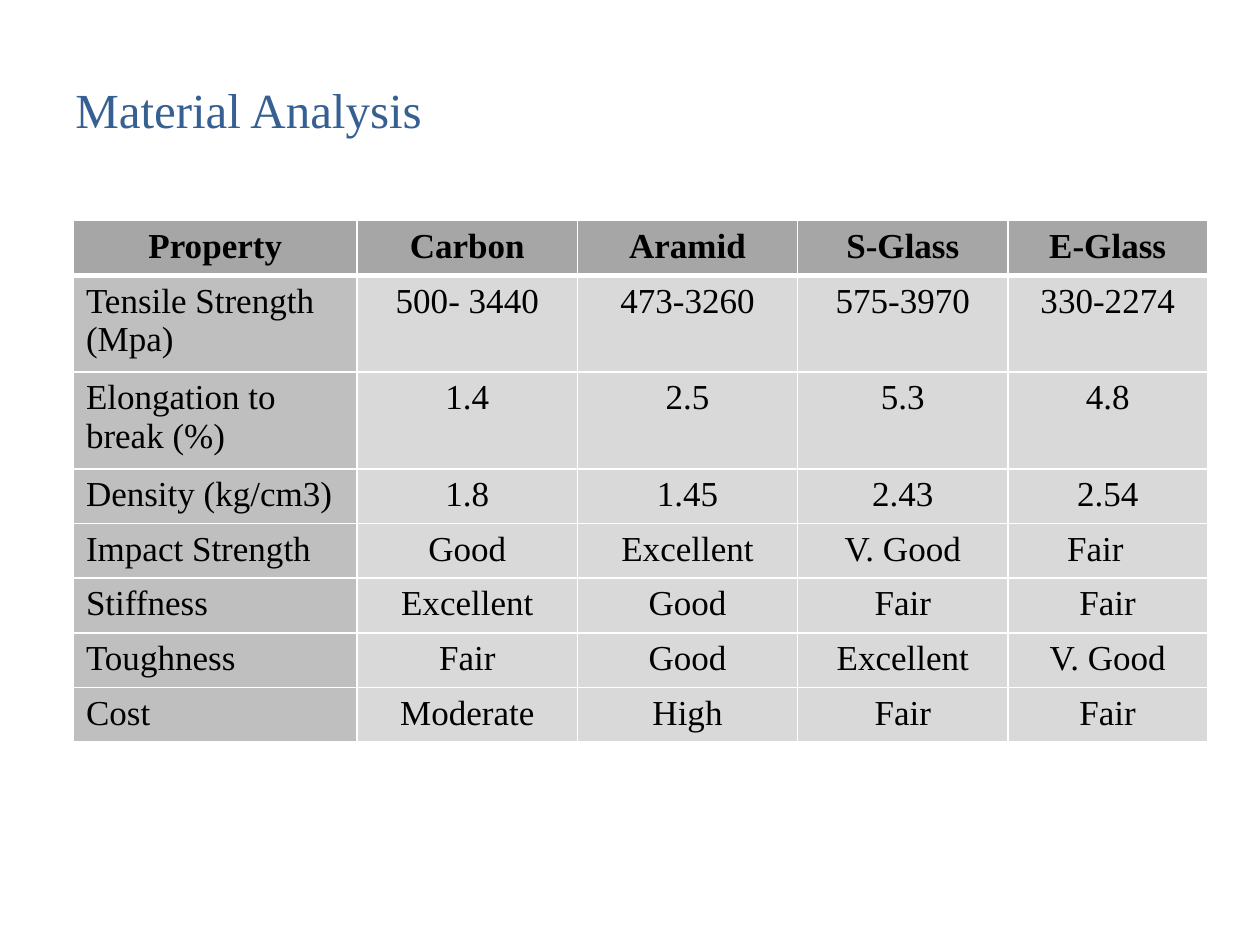
from lxml import etree
from pptx import Presentation
from pptx.dml.color import RGBColor
from pptx.enum.text import MSO_ANCHOR, PP_ALIGN
from pptx.oxml.ns import qn
from pptx.util import Cm, Pt

LEFT, CENTER = PP_ALIGN.LEFT, PP_ALIGN.CENTER
MIDDLE = MSO_ANCHOR.MIDDLE

FONT = "Times New Roman"
BLUE, BLACK, WHITE = "376092", "000000", "FFFFFF"
HEAD, SIDE, BODY = "A6A6A6", "BFBFBF", "D9D9D9"

WIDTHS = [5.72, 4.44, 4.44, 4.24, 4.02]
LOW, TALL = 1.04, 1.81
HEIGHTS = [LOW, TALL, TALL] + [LOW] * 5
ROWS = [
    ["Property", "Carbon", "Aramid", "S-Glass", "E-Glass"],
    ["Tensile Strength (Mpa)", "500- 3440", "473-3260", "575-3970", "330-2274"],
    ["Elongation to break (%)", "1.4", "2.5", "5.3", "4.8"],
    ["Density (kg/cm3)", "1.8", "1.45", "2.43", "2.54"],
    ["Impact Strength", "Good", "Excellent", "V. Good", "Fair"],
    ["Stiffness", "Excellent", "Good", "Fair", "Fair"],
    ["Toughness", "Fair", "Good", "Excellent", "V. Good"],
    ["Cost", "Moderate", "High", "Fair", "Fair"],
]


def color(code):
    return RGBColor.from_string(code)


class Painter:
    def __init__(self, slide, font):
        self.slide = slide
        self.font = font

    def label(self, frame, text, size, ink, align=LEFT, bold=False):
        para = frame.paragraphs[0]
        para.alignment = align
        run = para.add_run()
        run.text = text
        run.font.name = self.font
        run.font.size = Pt(size)
        run.font.bold = bold
        run.font.color.rgb = color(ink)

    def title(self, text, x, y, w, h):
        box = self.slide.shapes.add_textbox(Cm(x), Cm(y), Cm(w), Cm(h))
        frame = box.text_frame
        frame.word_wrap = True
        frame.vertical_anchor = MIDDLE
        self.label(frame, text, 28, BLUE)

    def border(self, cell, ends):
        # Border lines must come before the fill in the cell properties
        props = cell._tc.get_or_add_tcPr()
        for spot, (side, width) in enumerate(ends.items()):
            line = etree.Element(qn(f"a:ln{side}"), w=str(Pt(width)))
            fill = etree.SubElement(line, qn("a:solidFill"))
            etree.SubElement(fill, qn("a:srgbClr"), val=WHITE)
            props.insert(spot, line)

    def table(self, rows, x, y, widths, heights):
        frame = self.slide.shapes.add_table(
            len(rows), len(widths), Cm(x), Cm(y),
            Cm(sum(widths)), Cm(sum(heights)))
        grid = frame.table
        for col, width in zip(grid.columns, widths):
            col.width = Cm(width)
        for row, height in zip(grid.rows, heights):
            row.height = Cm(height)
        for r, row in enumerate(rows):
            for c, text in enumerate(row):
                cell = grid.cell(r, c)
                top = r == 0
                cell.fill.solid()
                shade = HEAD if top else SIDE if c == 0 else BODY
                cell.fill.fore_color.rgb = color(shade)
                align = CENTER if top or c else LEFT
                self.label(cell.text_frame, text, 20, BLACK, align, top)
                self.border(cell, {"L": 1, "R": 1, "T": 3 if r == 1 else 1,
                                   "B": 3 if top else 1})
        return grid


def main():
    deck = Presentation()
    deck.slide_width, deck.slide_height = Cm(25.4), Cm(19.05)
    slide = deck.slides.add_slide(deck.slide_layouts[6])
    paint = Painter(slide, FONT)

    # Heading
    paint.title("Material Analysis", 1.27, 1.07, 22.86, 2.24)

    # Comparison of fibres
    grid = paint.table(ROWS, 1.48, 4.45, WIDTHS, HEIGHTS)

    # The impact rating of E-Glass sits a little left of centre
    grid.cell(4, 4).margin_right = Cm(0.75)

    deck.save("out.pptx")


if __name__ == "__main__":
    main()
